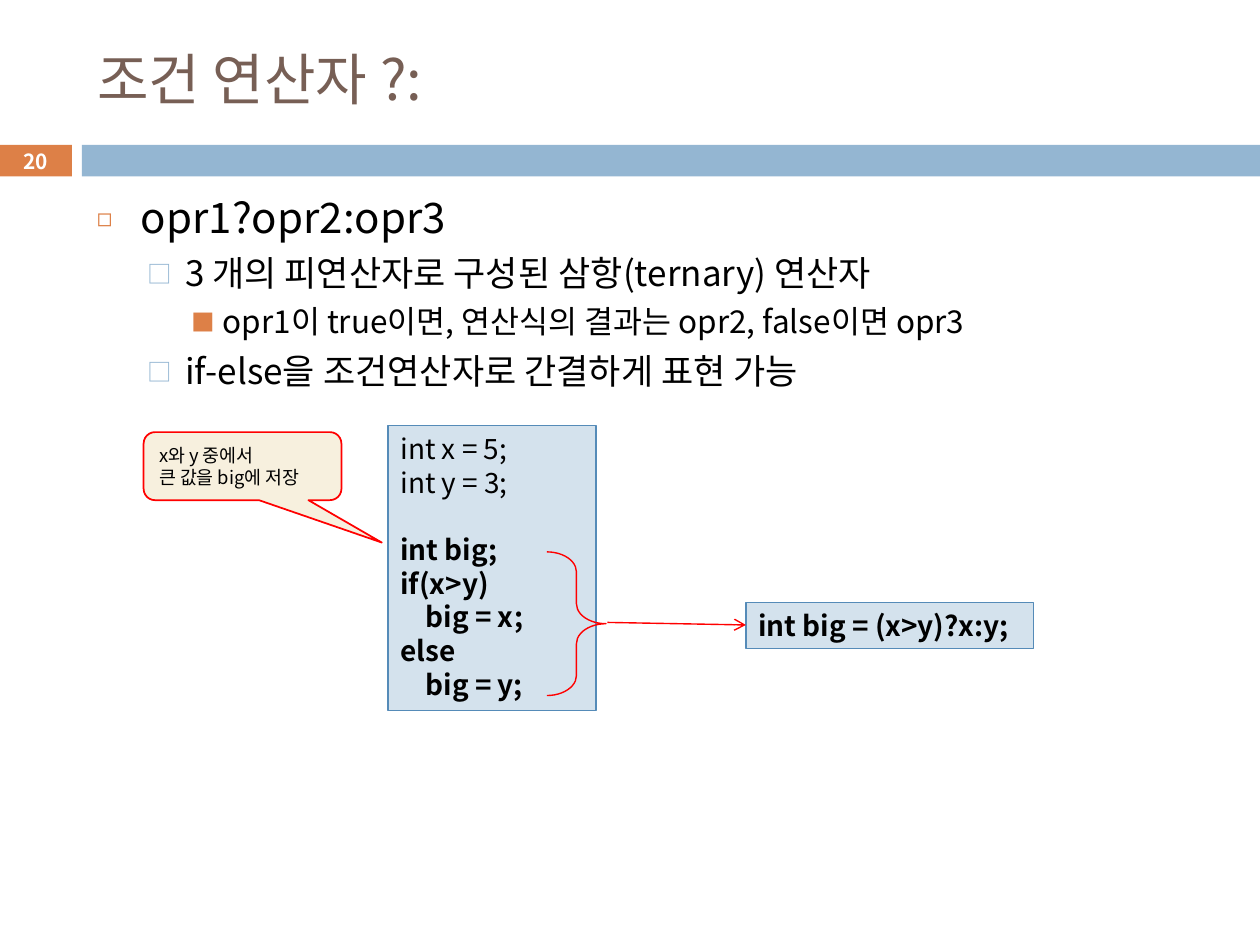
"""Build a slide that explains the conditional operator."""
import pptx
import pptx.util
import pptx.dml.color
import pptx.enum.shapes
import pptx.enum.text
import pptx.oxml.ns
from lxml import etree

Inches, Pt = pptx.util.Inches, pptx.util.Pt
SHAPE = pptx.enum.shapes.MSO_SHAPE
ALIGN = pptx.enum.text.PP_ALIGN
ANCHOR = pptx.enum.text.MSO_ANCHOR
FONT = "Noto Sans CJK KR"
BLACK, WHITE, RED = "000000", "FFFFFF", "FF0000"
ORANGE, BLUE, BROWN = "DD8047", "94B6D2", "775F55"
CODE_FILL, CODE_LINE, NOTE_FILL = "D4E2ED", "558BB8", "F7F0DE"

LEVELS = [
    (24, 0.35, 0.35, 7, "◻", ORANGE, 60),
    (20, 0.7, 0.3, 5.5, "□", BLUE, 70),
    (18, 1, 0.25, 5, "■", ORANGE, 75),
]
BODY = [
    (0, "opr1?opr2:opr3"),
    (1, "3 개의 피연산자로 구성된 삼항(ternary) 연산자"),
    (2, "opr1이 true이면, 연산식의 결과는 opr2, false이면 opr3"),
    (1, "if-else을 조건연산자로 간결하게 표현 가능"),
]
DECLARATIONS = ["int x = 5;", "int y = 3;"]
IF_ELSE = ["int big;", "if(x>y)", "\tbig = x;", "else", "\tbig = y;"]


def rgb(color):
    """Turn a hex string into a colour."""
    return pptx.dml.color.RGBColor.from_string(color)


def sub(parent, tag, **attrs):
    """Append a DrawingML element."""
    el = etree.SubElement(parent, pptx.oxml.ns.qn("a:" + tag))
    for key, value in attrs.items():
        el.set(key, str(value))
    return el


def box(at):
    """Convert left, top, width and height to lengths."""
    return [Inches(v) for v in at]


def style_line(line, color, width):
    """Colour a line and set its width."""
    line.color.rgb = rgb(color)
    line.width = Pt(width)


def add_run(p, text, size, color=BLACK, bold=False):
    """Write one run with an even line height."""
    p.line_spacing = Pt(round(size * 1.2, 1))
    r = p.add_run()
    r.text = text
    r.font.size, r.font.bold, r.font.name = Pt(size), bold, FONT
    r.font.color.rgb = rgb(color)
    sub(r.font._element, "ea", typeface=FONT)


def next_paragraph(tf):
    """Return the empty first paragraph or a new one."""
    p = tf.paragraphs[0]
    return tf.add_paragraph() if p.runs else p


def add_shape(s, kind, at, fill=None, line=None, width=0.75):
    """Add a flat preset shape."""
    sp = s.shapes.add_shape(kind, *box(at))
    sp.shadow.inherit = False
    if fill:
        sp.fill.solid()
        sp.fill.fore_color.rgb = rgb(fill)
    else:
        sp.fill.background()
    if line:
        style_line(sp.line, line, width)
    else:
        sp.line.fill.background()
    sp.text_frame.word_wrap = True
    return sp


def add_title(s, text):
    """Place and fill the title."""
    sp = s.shapes.title
    sp.left, sp.top, sp.width, sp.height = box((0.67, 0.25, 8.92, 0.74))
    tf = sp.text_frame
    tf.vertical_anchor = ANCHOR.MIDDLE
    tf.paragraphs[0].alignment = ALIGN.LEFT
    add_run(tf.paragraphs[0], text, 32, BROWN)


def add_body(s, items):
    """Add the bulleted outline."""
    tf = s.shapes.add_textbox(*box((0.67, 1.47, 8.92, 5.51))).text_frame
    tf.word_wrap = True
    for level, text in items:
        size, left, hang, before, char, color, percent = LEVELS[level]
        p = next_paragraph(tf)
        p.level = level
        p.space_before = Pt(before)
        add_run(p, text, size)
        ppr = p._p.get_or_add_pPr()
        ppr.set("marL", str(Inches(left)))
        ppr.set("indent", str(-Inches(hang)))
        sub(sub(ppr, "buClr"), "srgbClr", val=color)
        sub(ppr, "buSzPct", val=percent * 1000)
        sub(ppr, "buFont", typeface=FONT)
        sub(ppr, "buChar", char=char)


def add_code(s, at, groups):
    """Add a code box from (lines, bold) groups parted by a line's gap."""
    tf = add_shape(s, SHAPE.RECTANGLE, at, CODE_FILL, CODE_LINE).text_frame
    tf.vertical_anchor = ANCHOR.TOP
    for g, (lines, bold) in enumerate(groups):
        for i, text in enumerate(lines):
            p = next_paragraph(tf)
            p.alignment = ALIGN.LEFT
            if g and not i:
                p.space_before = Pt(19.2)
            add_run(p, text, 16, bold=bold)
            if text.startswith("\t"):
                tabs = sub(p._p.get_or_add_pPr(), "tabLst")
                sub(tabs, "tab", pos=Inches(0.2), algn="l")


def add_callout(s, at, lines):
    """Add the speech bubble."""
    sp = add_shape(s, SHAPE.ROUNDED_RECTANGULAR_CALLOUT, at, NOTE_FILL, RED, 1)
    for i, value in enumerate((0.704, 1.123, 0.167)):
        sp.adjustments[i] = value
    tf = sp.text_frame
    tf.vertical_anchor = ANCHOR.MIDDLE
    for text in lines:
        p = next_paragraph(tf)
        p.alignment = ALIGN.LEFT
        add_run(p, text, 10.5)


def add_brace(s, at):
    """Add a brace that opens to the left."""
    sp = add_shape(s, SHAPE.LEFT_BRACE, at, line=RED, width=0.79)
    sp.rotation = 180
    sp.adjustments[0] = 0.337


def add_arrow(s, x1, y1, x2, y2):
    """Add a line with an open arrowhead."""
    c = s.shapes.add_connector(
        pptx.enum.shapes.MSO_CONNECTOR.STRAIGHT, *box((x1, y1, x2, y2)))
    style_line(c.line, RED, 0.79)
    sub(c.line._get_or_add_ln(), "tailEnd", type="arrow")
    sub(c._element.spPr, "effectLst")


def add_band(s, number):
    """Add the header band and the slide number."""
    tag = add_shape(s, SHAPE.RECTANGLE, (-0.01, 1.15, 0.58, 0.25), ORANGE)
    add_shape(s, SHAPE.RECTANGLE, (0.65, 1.15, 9.35, 0.25), BLUE)
    tf = tag.text_frame
    tf.margin_top = tf.margin_bottom = 0
    tf.vertical_anchor = ANCHOR.MIDDLE
    tf.paragraphs[0].alignment = ALIGN.CENTER
    add_run(tf.paragraphs[0], number, 11.9, WHITE, True)


def main():
    """Build and save the slide."""
    prs = pptx.Presentation()
    prs.slide_width, prs.slide_height = Inches(10), Inches(7.5)
    s = prs.slides.add_slide(prs.slide_layouts[5])
    add_band(s, "20")
    add_title(s, "조건 연산자 ?:")
    add_body(s, BODY)
    add_code(s, (3.08, 3.38, 1.65, 2.26),
             [(DECLARATIONS, False), (IF_ELSE, True)])
    add_code(s, (5.92, 4.78, 2.28, 0.37), [(["int big = (x>y)?x:y;"], True)])
    add_brace(s, (4.34, 4.38, 0.47, 1.14))
    add_arrow(s, 4.82, 4.94, 5.92, 4.96)
    add_callout(s, (1.14, 3.43, 1.57, 0.54), ["x와 y 중에서", "큰 값을 big에 저장"])
    prs.save("out.pptx")


main()
